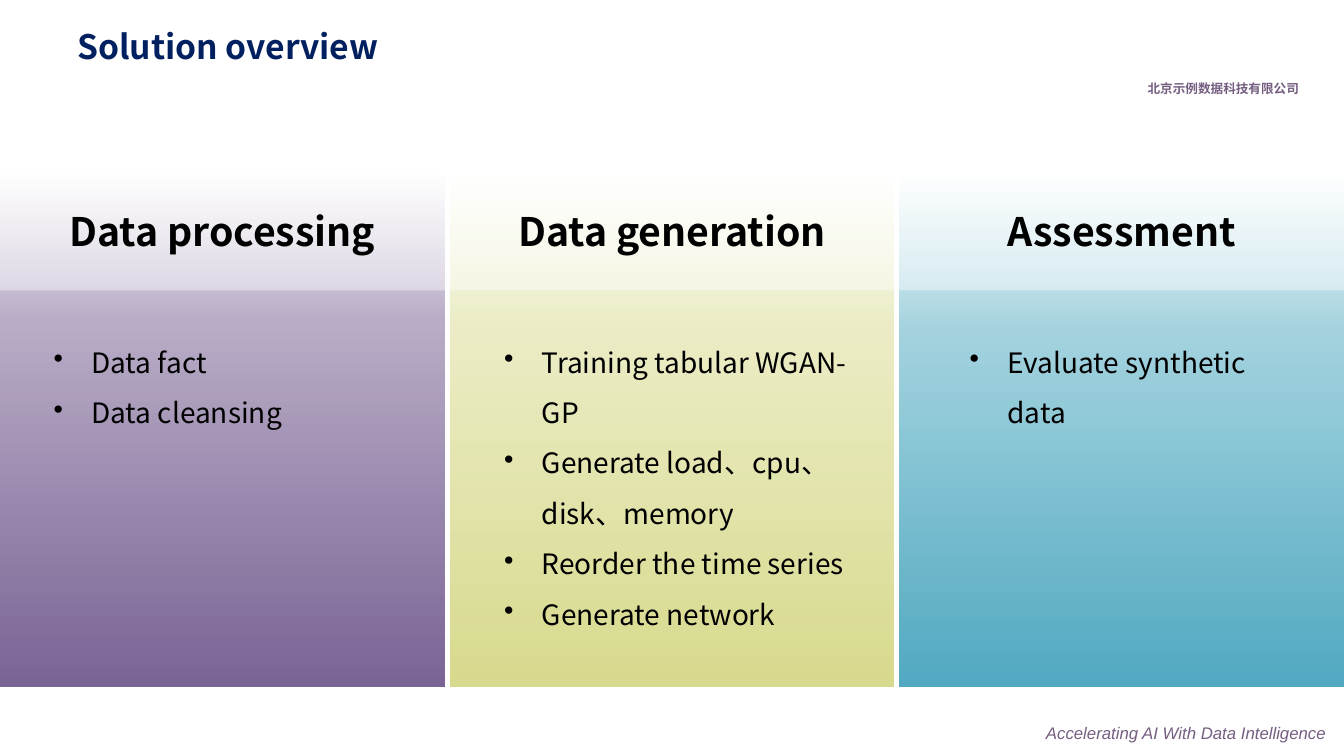
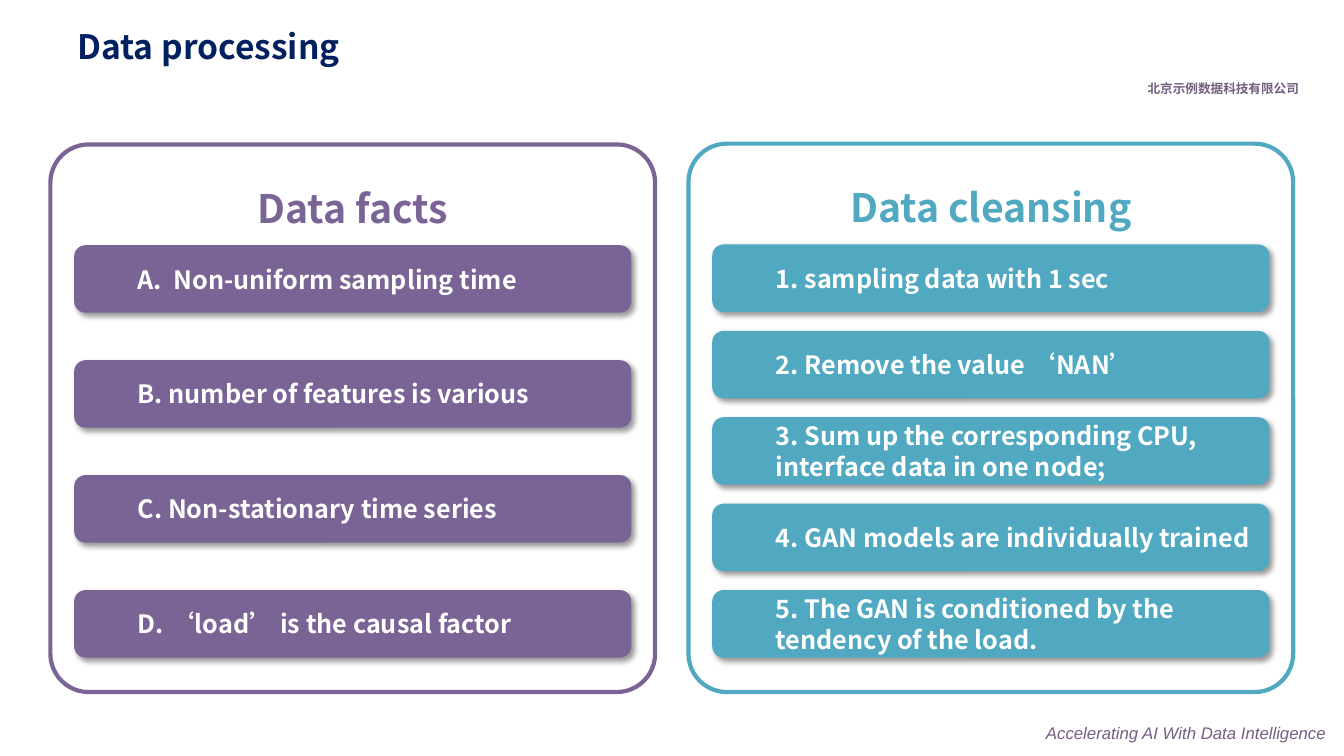
from lxml.etree import SubElement
from copy import deepcopy
from pptx import Presentation
from pptx.dml.color import RGBColor
from pptx.enum.shapes import MSO_SHAPE as Preset
from pptx.enum.text import MSO_ANCHOR as Anchor, PP_ALIGN as Align
from pptx.oxml.ns import qn
from pptx.util import Cm, Pt

SANS, LATIN = "Noto Sans CJK SC", "Arial"
NAVY, MAUVE, BLACK, WHITE = "002060", "755E81", "000000", "FFFFFF"
PURPLE, TEAL, LIME = "7A6495", "51A9C1", "D7DA8D"
SLIDE_W, SLIDE_H = 33.87, 19.05
COMPANY = "北京示例数据科技有限公司"
TAGLINE = "Accelerating AI With Data Intelligence"

STAGES = [
    ("Data processing", ["Data fact", "Data cleansing"],
     [(0, WHITE), (0.29, "B8ACC6"), (1, PURPLE)], (1.1, 9)),
    ("Data generation",
     ["Training tabular WGAN-GP", "Generate load、cpu、disk、memory",
      "Reorder the time series", "Generate network"],
     [(0, WHITE), (0.3, "EBECC5"), (1, LIME)], (1.12, 9.55)),
    ("Assessment", ["Evaluate synthetic data"],
     [(0, WHITE), (0.31, "A3D2DE"), (1, TEAL)], (1.52, 9)),
]
FACTS = ["A.  Non-uniform sampling time", "B. number of features is various",
         "C. Non-stationary time series", "D. ‘load’ is the causal factor"]
CLEANSING = ["1. sampling data with 1 sec", "2. Remove the value ‘NAN’",
             "3. Sum up the corresponding CPU, interface data in one node;",
             "4. GAN models are individually trained",
             "5. The GAN is conditioned by the tendency of the load."]


def rgb(code):
    """Turn a hex string into a colour."""
    return RGBColor.from_string(code)


def write(shape, lines, size, color, bold=False, italic=False, font=SANS,
          align=Align.LEFT, anchor=Anchor.MIDDLE, spacing=None, indent=0, bullet=None):
    """Fill a shape with uniformly styled paragraphs."""
    frame = shape.text_frame
    frame.word_wrap = True
    frame.vertical_anchor = anchor
    for number, line in enumerate(lines):
        paragraph = frame.add_paragraph() if number else frame.paragraphs[0]
        paragraph.text = line
        paragraph.alignment = align
        if spacing:
            paragraph.line_spacing = spacing
        style = paragraph.font
        style.size, style.bold, style.italic, style.name = Pt(size), bold, italic, font
        style.color.rgb = rgb(color)
        props = paragraph._p.get_or_add_pPr()
        SubElement(props.find(qn("a:defRPr")), qn("a:ea"), typeface=font)
        if indent:
            props.set("marL", str(Cm(indent)))
            props.set("indent", str(-Cm(indent) if bullet else 0))
        if bullet:
            mark = SubElement(props, qn("a:buChar"), char=bullet)
            props.find(qn("a:defRPr")).addprevious(mark)


def add_text(slide, box, lines, size, color, **style):
    """Place a text box."""
    write(slide.shapes.add_textbox(*map(Cm, box)), lines, size, color, **style)


def add_block(slide, preset, box, fill=None, alpha=None):
    """Place a preset shape without line or shadow."""
    block = slide.shapes.add_shape(preset, *map(Cm, box))
    block.shadow.inherit = False
    block.line.fill.background()
    if fill:
        block.fill.solid()
        block.fill.fore_color.rgb = rgb(fill)
    else:
        block.fill.background()
    if alpha:
        color = block._element.spPr.find(qn("a:solidFill"))[0]
        SubElement(color, qn("a:alpha"), val=str(alpha * 1000))
    return block


def shade_down(block, stops):
    """Give a block a three-stop gradient from top to bottom."""
    block.fill.gradient()
    block.fill.gradient_angle = 270
    stop_list = block._element.spPr.find(qn("a:gradFill")).find(qn("a:gsLst"))
    stop_list.append(deepcopy(stop_list[0]))
    for stop, (position, color) in zip(block.fill.gradient_stops, stops):
        stop.position = position
        stop.color.rgb = rgb(color)


def cast_shadow(block):
    """Give a block a soft shadow to the lower right."""
    effects = block._element.spPr.find(qn("a:effectLst"))
    shadow = SubElement(effects, qn("a:outerShdw"), blurRad=str(Pt(4)), dist=str(Pt(3)),
                        dir="2700000", algn="tl", rotWithShape="0")
    color = SubElement(shadow, qn("a:srgbClr"), val=BLACK)
    SubElement(color, qn("a:alpha"), val="40000")


def add_page(deck, title):
    """Start a slide with the shared company line, tagline and title."""
    slide = deck.slides.add_slide(deck.slide_layouts[6])
    add_text(slide, (28.58, 1.68, 4.4, 1.12), [COMPANY], 9, MAUVE,
             bold=True, font=LATIN, align=Align.RIGHT)
    add_text(slide, (26.11, 18.08, 7.75, 0.78), [TAGLINE], 12, MAUVE,
             italic=True, font=LATIN, anchor=Anchor.TOP)
    add_text(slide, (1.7, 0, 31.3, 2.46), [title], 24, NAVY, bold=True, spacing=0.9)
    return slide


def add_stages(slide, box, gap=0.13, head=3):
    """Lay out the stage columns under a pale heading band."""
    left, top, width, height = box
    column = (width - gap * (len(STAGES) - 1)) / len(STAGES)
    lefts = [left + i * (column + gap) for i in range(len(STAGES))]
    for x, (_, _, stops, _) in zip(lefts, STAGES):
        shade_down(add_block(slide, Preset.RECTANGLE, (x, top, column, height)), stops)
    add_block(slide, Preset.RECTANGLE, (left, top, width, head), WHITE, alpha=40)
    for x, (heading, tasks, _, (inset, task_width)) in zip(lefts, STAGES):
        add_text(slide, (x + 1.1, top + 0.25, 9, 2.5), [heading], 28, BLACK,
                 bold=True, align=Align.CENTER)
        add_text(slide, (x + inset, top + 3.83, task_width, 8.46), tasks, 20, BLACK,
                 anchor=Anchor.TOP, spacing=1.5, indent=0.95, bullet="•")


def add_panel(slide, box, heading, items, color):
    """Draw an outlined panel with evenly spaced item cards."""
    left, top, width, height = box
    panel = add_block(slide, Preset.ROUNDED_RECTANGLE, box)
    panel.adjustments[0] = 0.07
    panel.line.color.rgb = rgb(color)
    panel.line.width = Pt(3)
    write(panel, [heading], 28, color, bold=True, align=Align.CENTER,
          anchor=Anchor.TOP, spacing=1.5)
    margin, head, card_height, foot = 0.6, 2.54, 1.7, 0.87
    pitch = (height - head - card_height - foot) / (len(items) - 1)
    for row, item in enumerate(items):
        card = add_block(slide, Preset.ROUNDED_RECTANGLE,
                         (left + margin, top + head + row * pitch,
                          width - 2 * margin, card_height), color)
        cast_shadow(card)
        write(card, [item], 18, WHITE, bold=True, indent=1.27)


def main():
    """Build and save the deck."""
    deck = Presentation()
    deck.slide_width, deck.slide_height = Cm(SLIDE_W), Cm(SLIDE_H)
    add_stages(add_page(deck, "Solution overview"), (0, 4.32, SLIDE_W, 13))
    details = add_page(deck, "Data processing")
    add_panel(details, (1.27, 3.64, 15.24, 13.8), "Data facts", FACTS, PURPLE)
    add_panel(details, (17.35, 3.62, 15.24, 13.82), "Data cleansing", CLEANSING, TEAL)
    deck.save("out.pptx")


if __name__ == "__main__":
    main()
